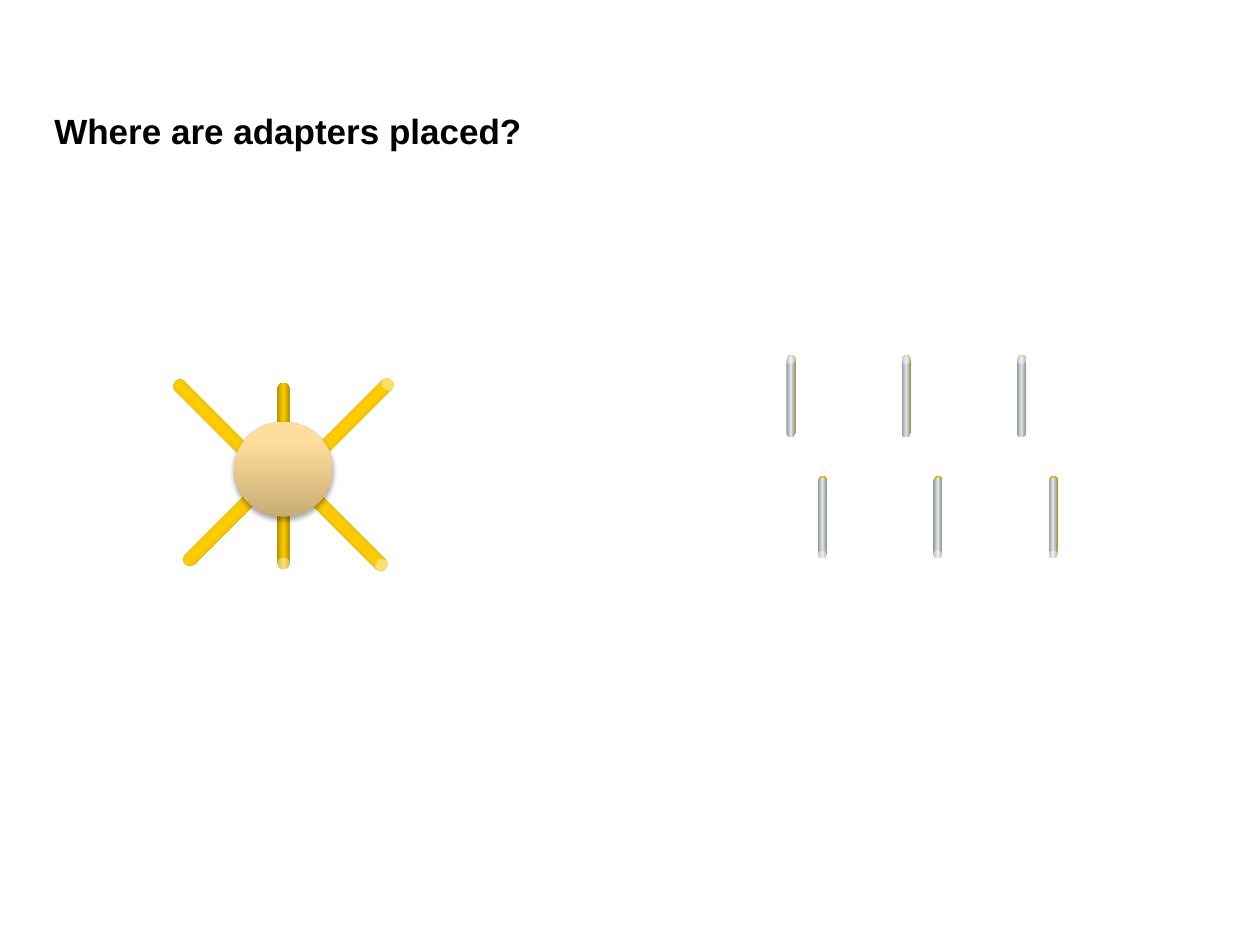
"""Build the slide that asks where adapters are placed around a core and on pins."""
import pptx
import pptx.dml.color
import pptx.enum.shapes
import pptx.enum.text
import pptx.oxml
import pptx.oxml.ns
import pptx.util

Pt = pptx.util.Pt
SHAPES = pptx.enum.shapes.MSO_SHAPE

TITLE = "Where are adapters placed?"
GOLD = [(0, "B69200"), (50, "FFCC00"), (100, "B69200")]
SILVER = [(0, "8D979B"), (50, "E1E3E4"), (100, "8D979B")]
CORE = [(0, "C8AC75"), (80, "FFDD9D"), (100, "FFDE9F")]
CAN_RATIO = 0.873

PIN_ROWS = [(467.4, 272.2, 180), (449.4, 203, 0)]
PIN_COUNT, PIN_PITCH, PIN_WIDTH, PIN_HEIGHT = 3, 65.9, 5.04, 46.1
PIN_LAYERS = [(GOLD, 0.3, 0), (SILVER, 0, 0.7)]

ARM_WIDTH, ARM_HEIGHT = 7.2, 58.6
ARMS = [
    (195.8, 275, 135),
    (123.1, 272.2, 45),
    (158.4, 266.4, 180),
    (158.4, 218.9, 180),
    (199.4, 208.8, 45),
    (117.4, 209.5, 135),
]
CORE_BOX = (133.9, 241.2, 56.2, 54)


def color(value):
    return pptx.dml.color.RGBColor.from_string(value)


def element(tag, parent, **attributes):
    child = pptx.oxml.parse_xml(f"<a:{tag} {pptx.oxml.ns.nsdecls('a')}/>")
    for name, value in attributes.items():
        child.set(name, str(value))
    parent.append(child)
    return child


def add_solid(group, kind, box, stops, angle=0, rotation=0):
    shape = group.shapes.add_shape(kind, *map(Pt, box))
    shape.rotation = rotation
    shape.shadow.inherit = False
    shape.line.fill.background()
    shape.fill.gradient()
    shape.fill.gradient_angle = angle
    stop_list = shape.element.spPr.find(".//" + pptx.oxml.ns.qn("a:gsLst"))
    for stop in list(stop_list):
        stop_list.remove(stop)
    for position, value in stops:
        stop = element("gs", stop_list, pos=position * 1000)
        element("srgbClr", stop, val=value)
    return shape


def add_can(group, box, stops, rotation):
    can = add_solid(group, SHAPES.CAN, box, stops, rotation=rotation)
    can.adjustments[0] = CAN_RATIO


def add_title(slide):
    title = slide.shapes.title
    title.left, title.top, title.width, title.height = map(Pt, (31, 60.5, 658, 28))
    frame = title.text_frame
    frame.margin_left = frame.margin_right = frame.margin_top = frame.margin_bottom = 0
    frame.vertical_anchor = pptx.enum.text.MSO_ANCHOR.MIDDLE
    paragraph = frame.paragraphs[0]
    paragraph.alignment = pptx.enum.text.PP_ALIGN.LEFT
    run = paragraph.add_run()
    run.text = TITLE
    run.font.name = "Arial"
    run.font.size = Pt(20)
    run.font.bold = True
    run.font.color.rgb = color("000000")


def add_pins(slide):
    group = slide.shapes.add_group_shape()
    for left, top, rotation in PIN_ROWS:
        for column in range(PIN_COUNT):
            for stops, shift_x, shift_y in PIN_LAYERS:
                x = left + column * PIN_PITCH + shift_x
                box = (x, top + shift_y, PIN_WIDTH, PIN_HEIGHT)
                add_can(group, box, stops, rotation)


def add_core(slide):
    group = slide.shapes.add_group_shape()
    for left, top, rotation in ARMS:
        add_can(group, (left, top, ARM_WIDTH, ARM_HEIGHT), GOLD, rotation)
    core = add_solid(group, SHAPES.OVAL, CORE_BOX, CORE, angle=90)
    effects = core.element.spPr.find(pptx.oxml.ns.qn("a:effectLst"))
    shadow = element("outerShdw", effects, blurRad=Pt(3.1), dist=Pt(1.8),
                     dir=90 * 60000, rotWithShape=0)
    shade = element("srgbClr", shadow, val="000000")
    element("alpha", shade, val=35000)


def main():
    presentation = pptx.Presentation()
    presentation.slide_width, presentation.slide_height = Pt(720), Pt(540)
    slide = presentation.slides.add_slide(presentation.slide_layouts[5])
    slide.background.fill.solid()
    slide.background.fill.fore_color.rgb = color("FFFFFF")
    add_title(slide)
    add_pins(slide)
    add_core(slide)
    presentation.save("out.pptx")


if __name__ == "__main__":
    main()
